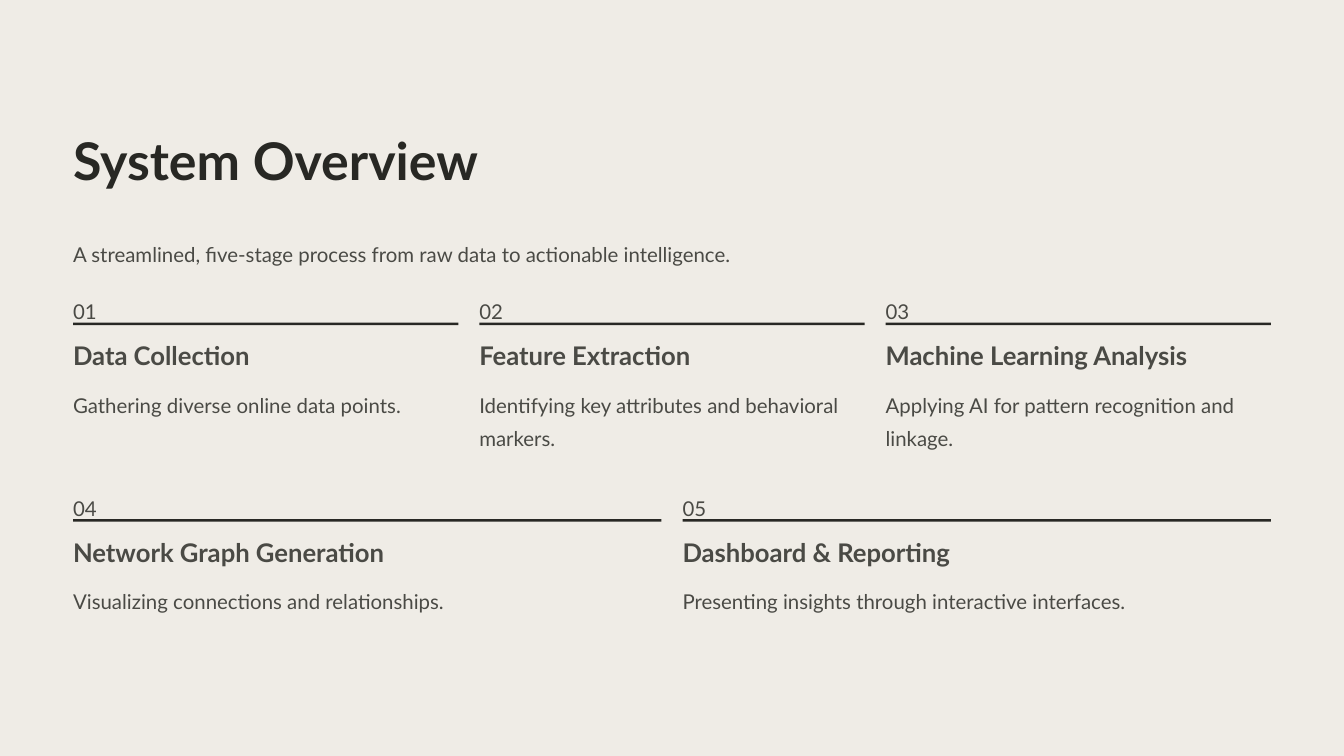
"""Build the System Overview slide with its five numbered process stages."""
from pptx import Presentation
from pptx.dml.color import RGBColor
from pptx.enum.shapes import MSO_SHAPE
from pptx.util import Inches, Pt

RECTANGLE = MSO_SHAPE.RECTANGLE

THEME = {
    "font": "Lato",
    "background": RGBColor.from_string("EFECE6"),
    "rule": RGBColor.from_string("282824"),
    "title": {"size": 44.5, "leading": 55.5, "bold": True, "color": "282824"},
    "heading": {"size": 22, "leading": 27.5, "bold": True, "color": "4A4A45"},
    "body": {"size": 17.5, "leading": 28.5, "bold": False, "color": "4A4A45"},
}

LEFT, CONTENT_WIDTH, GAP = 0.87, 14.26, 0.25
LINE_HEIGHT = 0.4

STAGE_ROWS = [
    (3.45, [
        ("Data Collection", 3.1, "Gathering diverse online data points.", 1),
        ("Feature Extraction", 3.1, "Identifying key attributes and behavioral markers.", 2),
        ("Machine Learning Analysis", 3.69, "Applying AI for pattern recognition and linkage.", 2),
    ]),
    (5.79, [
        ("Network Graph Generation", 3.79, "Visualizing connections and relationships.", 1),
        ("Dashboard & Reporting", 3.25, "Presenting insights through interactive interfaces.", 1),
    ]),
]

presentation = Presentation()
presentation.slide_width, presentation.slide_height = Inches(16), Inches(9)
slide = presentation.slides.add_slide(presentation.slide_layouts[6])
slide.background.fill.solid()
slide.background.fill.fore_color.rgb = THEME["background"]


def add_text(text, left, top, width, height, style_name, wrap=False):
    style = THEME[style_name]
    box = slide.shapes.add_textbox(Inches(left), Inches(top), Inches(width), Inches(height))
    frame = box.text_frame
    frame_format = {"margin_left": 0, "margin_right": 0, "margin_top": 0,
                    "margin_bottom": 0, "word_wrap": wrap}
    for attribute, value in frame_format.items():
        setattr(frame, attribute, value)
    paragraph = frame.paragraphs[0]
    paragraph.line_spacing = Pt(style["leading"])
    run = paragraph.add_run()
    run.text = text
    font_format = {"name": THEME["font"], "size": Pt(style["size"]), "bold": style["bold"]}
    for attribute, value in font_format.items():
        setattr(run.font, attribute, value)
    run.font.color.rgb = RGBColor.from_string(style["color"])


add_text("System Overview", LEFT, 1.5, 6.2, 0.78, "title")
add_text("A streamlined, five-stage process from raw data to actionable intelligence.",
         LEFT, 2.78, CONTENT_WIDTH, LINE_HEIGHT, "body")

stage_number = 0
for row_top, stages in STAGE_ROWS:
    column_width = (CONTENT_WIDTH - GAP * (len(stages) - 1)) / len(stages)
    for column, (heading, heading_width, description, line_count) in enumerate(stages):
        stage_number += 1
        left = LEFT + column * (column_width + GAP)
        add_text(f"{stage_number:02d}", left, row_top + 0.01, 0.32, 0.31, "body")
        rule = slide.shapes.add_shape(RECTANGLE, Inches(left), Inches(row_top + 0.39),
                                      Inches(column_width), Inches(0.03))
        rule.shadow.inherit = False
        rule.fill.solid()
        rule.fill.fore_color.rgb = THEME["rule"]
        rule.line.fill.background()
        add_text(heading, left, row_top + 0.58, heading_width, 0.39, "heading")
        add_text(description, left, row_top + 1.12, column_width,
                 LINE_HEIGHT * line_count, "body", wrap=line_count > 1)

presentation.save("out.pptx")
